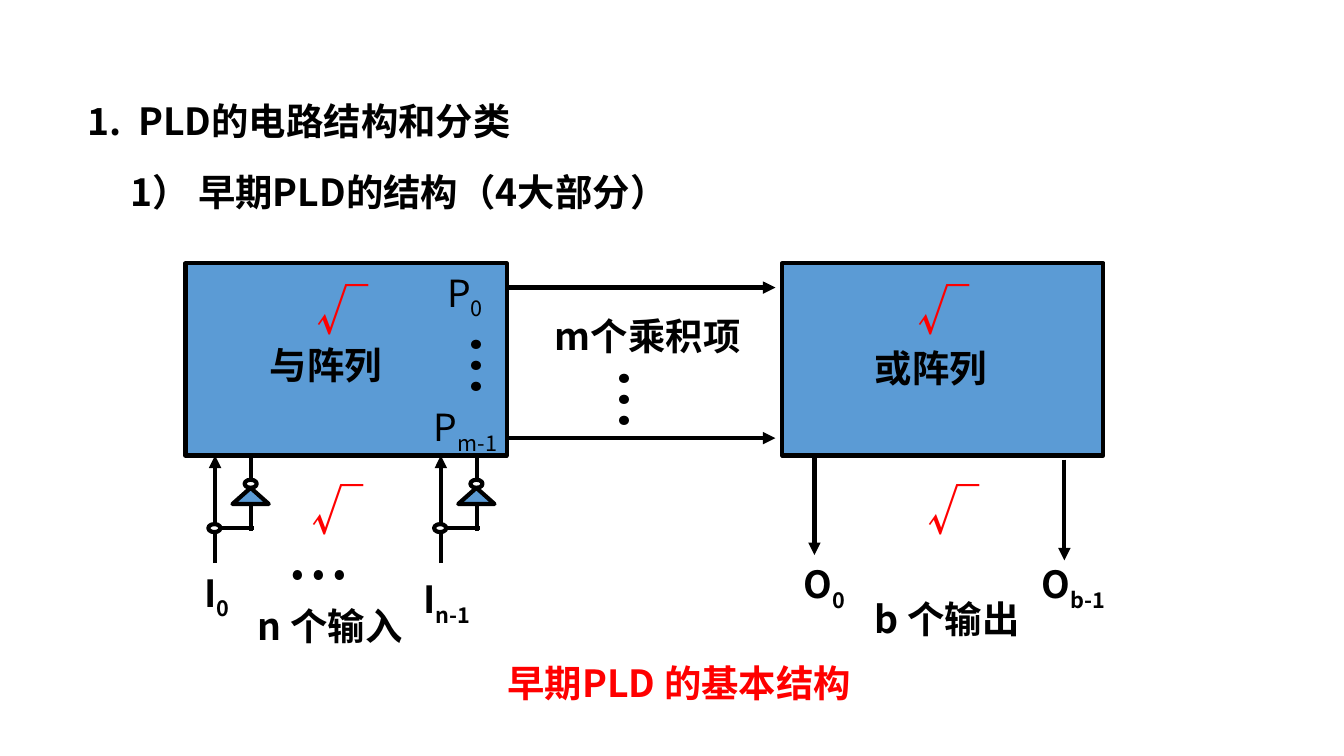
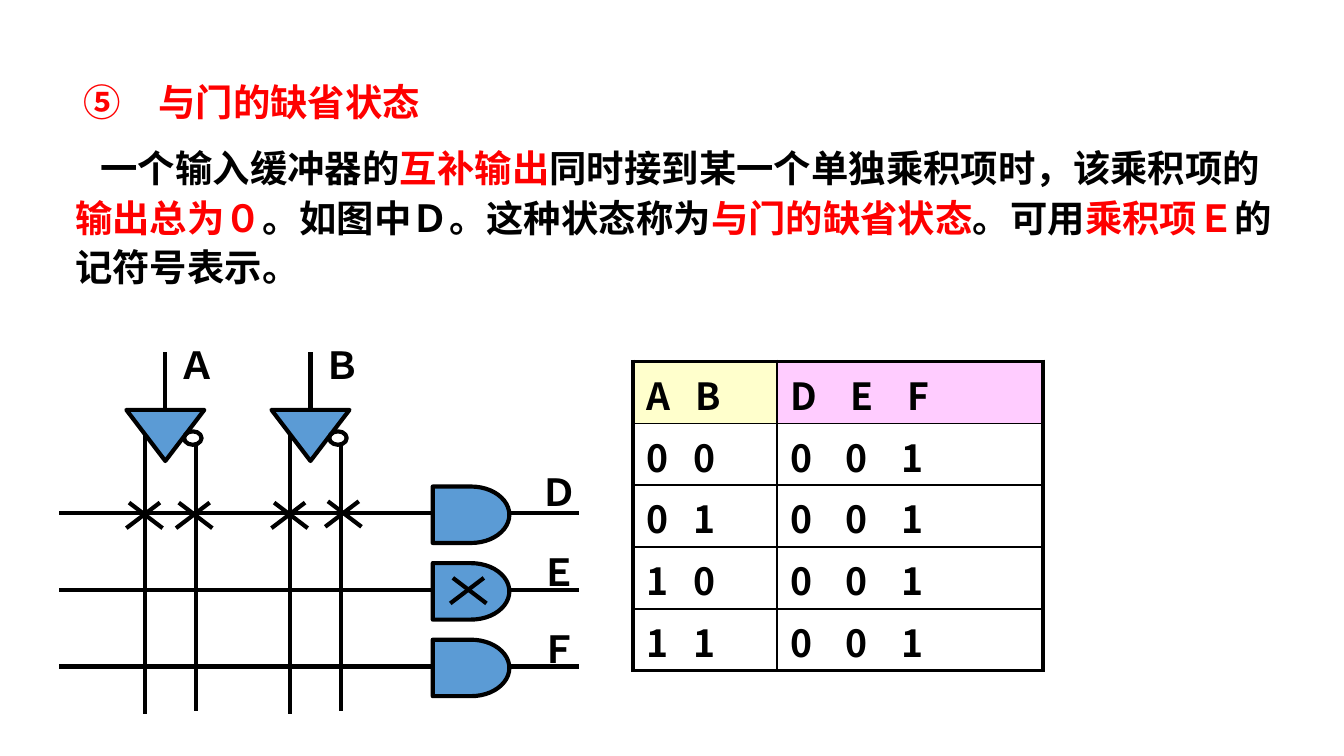
from lxml.etree import SubElement
from pptx import Presentation
from pptx.dml.color import RGBColor
from pptx.enum.shapes import MSO_CONNECTOR, MSO_SHAPE
from pptx.enum.text import MSO_ANCHOR, PP_ALIGN
from pptx.oxml import parse_xml
from pptx.oxml.ns import nsdecls, qn
from pptx.util import Inches, Pt

BLACK = RGBColor(0, 0, 0)
WHITE = RGBColor(255, 255, 255)
RED = RGBColor(255, 0, 0)
BLUE = RGBColor(0x5B, 0x9B, 0xD5)
CREAM = RGBColor(0xFF, 0xFF, 0xCC)
PINK = RGBColor(0xFF, 0xCC, 0xFF)
FONT = "Noto Sans CJK JP"
SIGN = "Noto Sans CJK SC"
THICK, THIN = 2.25, 1


class Deck:
    """Holds the shared style and the slide being drawn."""

    def __init__(self):
        self.prs = Presentation()
        self.prs.slide_width = Inches(10)
        self.prs.slide_height = Inches(10) * 9 // 16

    def page(self):
        self.slide = self.prs.slides.add_slide(self.prs.slide_layouts[6])
        self.shapes = self.slide.shapes

    def style(self, para, size=20, bold=True, color=BLACK, name=FONT,
              left=0, first=0, start=None):
        """Set indents, numbering and font; start numbers the paragraph."""
        props = para._p.get_or_add_pPr()
        props.set("marL", str(Inches(left)))
        props.set("indent", str(Inches(first)))
        if start:
            tint = SubElement(props, qn("a:buClr"))
            SubElement(tint, qn("a:srgbClr"), val=str(color))
            SubElement(props, qn("a:buAutoNum"), type="circleNumDbPlain",
                       startAt=str(start))
        font = para.font
        font.size, font.bold, font.name = Pt(size), bold, name
        font.color.rgb = color
        SubElement(props.find(qn("a:defRPr")), qn("a:ea"), typeface=name)

    def spread(self, para, words, gap):
        """Write words with each space widened by gap points."""
        for spot, word in enumerate(words.split()):
            if spot:
                run = para.add_run()
                run.text = " "
                run._r.get_or_add_rPr().set("spc", str(int(gap * 100)))
            para.add_run().text = word

    def text(self, x, y, w, h, words, sub="", upright=False, align=None,
             space=None, gap=0, **style):
        """Add a text box; sub is a subscript, upright runs it top to bottom."""
        frame = self.shapes.add_textbox(
            Inches(x), Inches(y), Inches(w), Inches(h)).text_frame
        frame.word_wrap = True
        if upright:
            frame._txBody.bodyPr.set("vert", "eaVert")
        para = frame.paragraphs[0]
        if align:
            para.alignment = align
        if space:
            para.line_spacing = space
        self.style(para, **style)
        if gap:
            self.spread(para, words, gap)
        else:
            para.add_run().text = words
        if sub:
            run = para.add_run()
            run.text = sub
            run._r.get_or_add_rPr().set("baseline", "-25000")
        return para

    def shape(self, kind, x, y, w, h, fill=BLUE):
        item = self.shapes.add_shape(
            kind, Inches(x), Inches(y), Inches(w), Inches(h))
        item.shadow.inherit = False
        if fill is None:
            item.fill.background()
        else:
            item.fill.solid()
            item.fill.fore_color.rgb = fill
        item.line.color.rgb = BLACK
        item.line.width = Pt(THICK)

    def line(self, x1, y1, x2, y2, arrow=False):
        item = self.shapes.add_connector(
            MSO_CONNECTOR.STRAIGHT,
            Inches(x1), Inches(y1), Inches(x2), Inches(y2))
        item.line.color.rgb = BLACK
        item.line.width = Pt(THICK)
        if arrow:
            SubElement(item.line._get_or_add_ln(), qn("a:tailEnd"),
                       type="triangle")
        SubElement(item._element.spPr, qn("a:effectLst"))

    def cross(self, x, y):
        self.line(x - 0.11, y, x + 0.14, y + 0.19)
        self.line(x + 0.12, y, x - 0.13, y + 0.19)

    def cell(self, cell, words, fill, gap, sides):
        """Fill a cell; sides are the widths of its L, R, T and B borders."""
        cell.fill.solid()
        cell.fill.fore_color.rgb = fill
        cell.vertical_anchor = MSO_ANCHOR.MIDDLE
        cell.margin_top = cell.margin_bottom = Inches(0.04)
        para = cell.text_frame.paragraphs[0]
        self.style(para)
        self.spread(para, words, gap)
        props = cell._tc.get_or_add_tcPr()
        for spot, (side, width) in enumerate(zip("LRTB", sides)):
            props.insert(spot, parse_xml(
                f'<a:ln{side} {nsdecls("a")} w="{Pt(width)}"><a:solidFill>'
                f'<a:srgbClr val="{BLACK}"/></a:solidFill></a:ln{side}>'))

    def table(self, x, y, cols, high, rows):
        grid = self.shapes.add_table(
            len(rows), len(cols), Inches(x), Inches(y),
            Inches(sum(cols)), Inches(high * len(rows))).table
        grid.first_row = grid.horz_banding = False
        for col, wide in zip(grid.columns, cols):
            col.width = Inches(wide)
        last = len(rows) - 1
        for r, row in enumerate(rows):
            grid.rows[r].height = Inches(high)
            for c, words in enumerate(row):
                fill = WHITE if r else (CREAM, PINK)[c]
                sides = [THICK if edge else THIN
                         for edge in (c == 0, c == 1, r == 0, r == last)]
                self.cell(grid.cell(r, c), words, fill, (9, 13.5)[c], sides)


def inlet(deck, x):
    """Draw an input line at x with its inverted branch."""
    side = x + 0.27
    deck.line(x, 4.19, x, 3.39, arrow=True)
    deck.shape(MSO_SHAPE.ISOSCELES_TRIANGLE, side - 0.14, 3.63, 0.27, 0.12)
    deck.shape(MSO_SHAPE.OVAL, side - 0.05, 3.57, 0.09, 0.06, None)
    deck.line(side, 3.39, side, 3.57)
    deck.line(side, 3.76, side, 3.95)
    deck.line(x + 0.02, 3.93, side + 0.02, 3.93)
    deck.shape(MSO_SHAPE.OVAL, x - 0.05, 3.9, 0.09, 0.06, WHITE)


def layout(deck):
    """Slide 1: the parts of an early PLD."""
    deck.page()
    deck.text(0.55, 0.72, 8.27, 0.53, "1. PLD的电路结构和分类", space=0.9,
              gap=4.5, left=0.19, first=-0.19)
    deck.text(0.87, 1.21, 5.19, 0.53, "1） 早期PLD的结构（4大部分）",
              left=0.38, first=-0.38)
    for x in (1.38, 5.82):
        deck.shape(MSO_SHAPE.RECTANGLE, x, 1.96, 2.39, 1.43)
    for y in (2.14, 3.26):
        deck.line(3.76, y, 5.77, y, arrow=True)
    for x in (1.6, 3.28):
        inlet(deck, x)
    deck.line(6.06, 3.39, 6.06, 4.13, arrow=True)
    deck.line(7.92, 3.42, 7.92, 4.17, arrow=True)

    for x, y, w, h, upright in ((4.36, 2.67, 0.53, 1.37, True),
                                (3.26, 2.42, 0.53, 0.88, True),
                                (2.07, 4.04, 1.15, 0.44, False)):
        deck.text(x, y, w, h, "• • •", upright=upright, bold=False)
    for x, y, w, name, sub in ((3.23, 1.96, 0.8, "P", "0"),
                               (3.13, 2.96, 0.8, "P", "m-1"),
                               (1.42, 4.19, 0.8, "I", "0"),
                               (3.05, 4.24, 0.8, "I", "n-1"),
                               (5.88, 4.13, 0.97, "O", "0"),
                               (7.65, 4.13, 0.97, "O", "b-1")):
        deck.text(x, y, w, 0.43, name, sub, bold=name != "P")
    for x, y, w, words in ((1.82, 4.44, 1.59, "n 个输入"),
                           (6.41, 4.39, 1.59, "b 个输出"),
                           (4.03, 2.28, 1.59, "m个乘积项"),
                           (1.91, 2.5, 1.24, "与阵列"),
                           (6.41, 2.52, 1.24, "或阵列")):
        deck.text(x, y, w, 0.43, words)
    for x, y in ((2.26, 2.02), (6.73, 2.02), (2.22, 3.51), (6.8, 3.51)):
        deck.text(x, y, 0.61, 0.57, "√", size=28, bold=False,
                  color=RED, name=SIGN)
    deck.text(3.14, 4.86, 3.83, 0.43, "早期PLD 的基本结构",
              align=PP_ALIGN.CENTER, color=RED)


def default(deck):
    """Slide 2: the default state of an AND gate."""
    deck.page()
    deck.text(0.52, 0.58, 4.67, 0.56, "与门的缺省状态", space=0.9, color=RED,
              left=0.56, first=-0.56, start=5)
    para = deck.text(0.27, 1, 9.45, 1.34, "一个输入缓冲器的", space=1.1,
                     left=0.19, first=0.19)
    for words, color in (("互补输出", RED),
                         ("同时接到某一个单独乘积项时，该乘积项的", BLACK),
                         ("输出总为０", RED),
                         ("。如图中Ｄ。这种状态称为", BLACK),
                         ("与门的缺省状态", RED), ("。可用", BLACK),
                         ("乘积项Ｅ", RED), ("的记符号表示。", BLACK)):
        run = para.add_run()
        run.text = words
        run.font.color.rgb = color

    for x, name in ((0.94, "Ａ"), (2.02, "Ｂ")):
        deck.shape(MSO_SHAPE.FLOWCHART_MERGE, x, 3.05, 0.58, 0.38)
        deck.shape(MSO_SHAPE.OVAL, x + 0.43, 3.21, 0.13, 0.1, None)
        deck.line(x + 0.14, 3.23, x + 0.14, 5.31)
        deck.line(x + 0.52, 3.3, x + 0.52, 5.29)
        deck.line(x + 0.29, 2.62, x + 0.29, 3.05)
        deck.text(x + 0.29, 2.5, 0.5, 0.44, name)
    for y, top, name in ((3.82, 3.44, "Ｄ"), (4.39, 4.04, "Ｅ"),
                         (4.96, 4.61, "Ｆ")):
        deck.line(0.44, y, 3.22, y)
        deck.line(3.78, y, 4.31, y)
        deck.text(3.92, top, 0.51, 0.44, name)
        deck.shape(MSO_SHAPE.FLOWCHART_DELAY, 3.22, y - 0.2, 0.57, 0.42)
    for x, y in ((3.48, 4.3), (1.07, 3.74), (1.44, 3.74),
                 (2.15, 3.74), (2.55, 3.73)):
        deck.cross(x, y)

    rows = [("A B", "D E F")]
    rows += [(f"{a} {b}", "0 0 1") for a in (0, 1) for b in (0, 1)]
    deck.table(4.71, 2.69, (1.07, 1.98), 0.46, rows)


def main():
    deck = Deck()
    layout(deck)
    default(deck)
    deck.prs.save("out.pptx")


if __name__ == "__main__":
    main()
